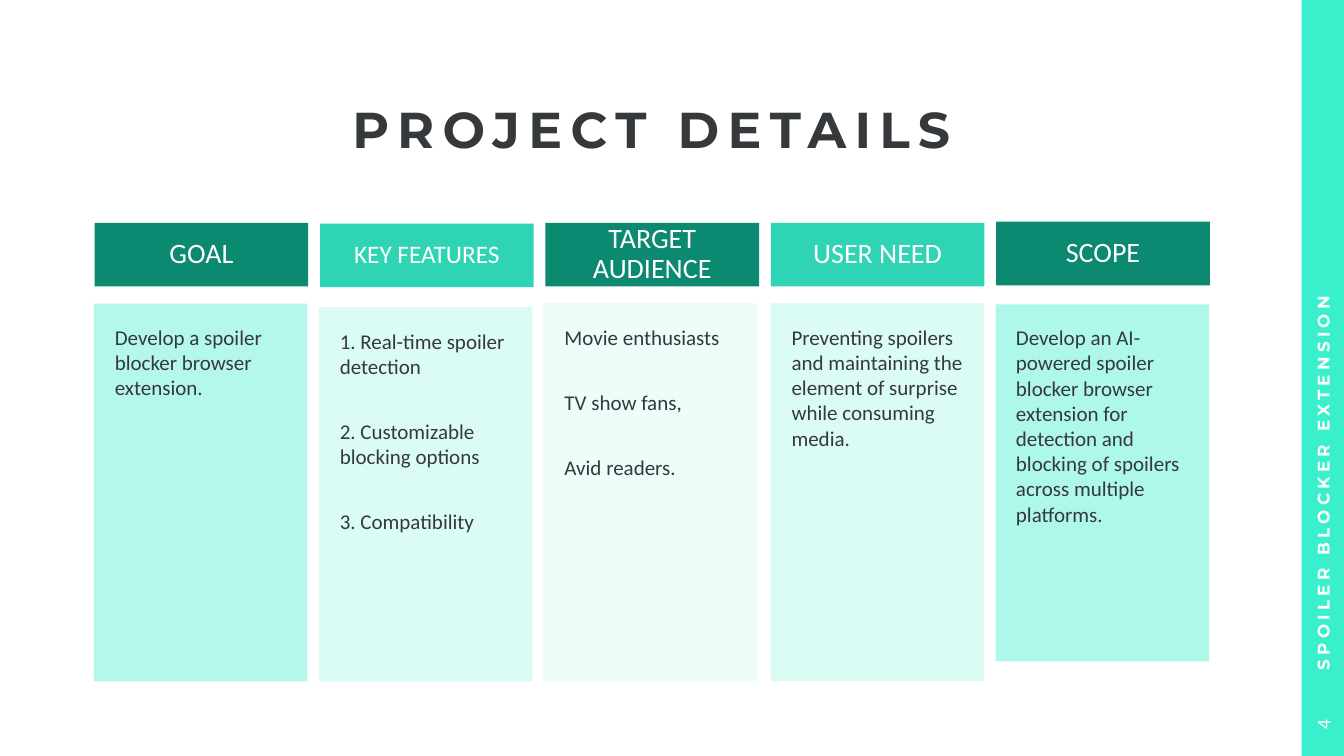
import pptx
import pptx.dml.color
import pptx.enum.shapes
import pptx.enum.text
import pptx.oxml
import pptx.oxml.ns
import pptx.util

Pt = pptx.util.Pt
ALIGN = pptx.enum.text.PP_ALIGN
ANCHOR = pptx.enum.text.MSO_ANCHOR
COLORS = {
    "bar": "3AEFCC",
    "dark": "0B8971",
    "bright": "11CEA9",
    "mint": "89F5E0",
    "pale": "B0F9EB",
    "faint": "D8FCF5",
    "ink": "36393B",
    "white": "FFFFFF",
}


class SlideBuilder:
    """Holds the style and the current slide."""

    def __init__(self, slide, body_font, display_font):
        self.slide = slide
        self.body_font = body_font
        self.display_font = display_font

    def color(self, name):
        return pptx.dml.color.RGBColor.from_string(COLORS[name])

    def panel(self, left, top, width, height, color, opacity=100):
        panel = self.slide.shapes.add_shape(
            pptx.enum.shapes.MSO_SHAPE.RECTANGLE,
            Pt(left), Pt(top), Pt(width), Pt(height))
        panel.shadow.inherit = False
        panel.line.fill.background()
        panel.fill.solid()
        panel.fill.fore_color.rgb = self.color(color)
        if opacity < 100:
            tint = panel.fill._xPr.find(".//" + pptx.oxml.ns.qn("a:srgbClr"))
            alpha = pptx.oxml.parse_xml(
                f'<a:alpha {pptx.oxml.ns.nsdecls("a")} val="{opacity * 1000}"/>')
            tint.append(alpha)
        return panel

    def label(self, left, top, width, height, text, rotation=0, **style):
        label = self.slide.shapes.add_textbox(
            Pt(left), Pt(top), Pt(width), Pt(height))
        label.rotation = rotation
        self.set_text(label, [text], **style)

    def set_text(self, shape, paragraphs, size, color, insets, font=None,
                 bold=False, tracking=0, align=ALIGN.LEFT, anchor=ANCHOR.MIDDLE,
                 line_spacing=1.0, gap=0):
        frame = shape.text_frame
        left, top, right, bottom = map(Pt, insets)
        frame_format = {
            "word_wrap": True, "vertical_anchor": anchor,
            "margin_left": left, "margin_top": top,
            "margin_right": right, "margin_bottom": bottom,
        }
        font_format = {
            "name": font or self.body_font, "size": Pt(size), "bold": bold}
        for key, value in frame_format.items():
            setattr(frame, key, value)
        for index, text in enumerate(paragraphs):
            paragraph = frame.paragraphs[0] if index == 0 else frame.add_paragraph()
            paragraph.alignment = align
            paragraph.line_spacing = line_spacing
            if index:
                paragraph.space_before = Pt(gap)
            run = paragraph.add_run()
            run.text = text
            for key, value in font_format.items():
                setattr(run.font, key, value)
            run.font.color.rgb = self.color(color)
            if tracking:
                run._r.get_or_add_rPr().set("spc", str(tracking * 100))

    def heading(self, left, top, text, size, color, opacity):
        heading = self.panel(left, top, COLUMN_WIDTH, HEADING_HEIGHT, color, opacity)
        self.set_text(heading, [text], size, "white", [12] * 4,
                      align=ALIGN.CENTER, line_spacing=0.9)

    def details(self, left, top, height, paragraphs, color, opacity, inset):
        details = self.panel(left, top, COLUMN_WIDTH, height, color, opacity)
        self.set_text(details, paragraphs, 15, "ink", [inset] * 4,
                      anchor=ANCHOR.TOP, gap=28.4)


COLUMN_LEFT, COLUMN_PITCH, COLUMN_WIDTH = 67.6, 161, 152.6
HEADING_HEIGHT = 45.4
HEADING_FILLS = [("dark", 100), ("bright", 87)]

# Heading, its size and top; details, their left shift, top, height, fill, inset
COLUMNS = [
    (("GOAL", 20, 159.2),
     (["Develop a spoiler blocker browser extension."],
      -0.6, 216.8, 270, "mint", 64, 15)),
    (("KEY FEATURES", 18, 159.8),
     (["1. Real-time spoiler detection", "2. Customizable blocking options",
       "3. Compatibility"],
      -0.9, 219.4, 267.4, "pale", 45, 15)),
    (("TARGET AUDIENCE", 20, 159.2),
     (["Movie enthusiasts", "TV show fans,", "Avid readers."],
      -1.4, 216.6, 270, "faint", 44, 15)),
    (("USER NEED", 20, 159.2),
     (["Preventing spoilers and maintaining the element of surprise while "
       "consuming media."],
      -0.2, 216.6, 270, "pale", 45, 15)),
    (("SCOPE", 20, 158.4),
     (["Develop an AI-powered spoiler blocker browser extension for detection "
       "and blocking of spoilers across multiple platforms."],
      -0.5, 217.4, 255, "mint", 68, 14.6)),
]


def main():
    deck = pptx.Presentation()
    deck.slide_width, deck.slide_height = Pt(960), Pt(540)
    builder = SlideBuilder(
        deck.slides.add_slide(deck.slide_layouts[6]), "Calibri", "Montserrat")

    # Side bar
    builder.panel(929.8, 0, 30.2, 540, "bar")

    # Five columns
    for index, (heading, details) in enumerate(COLUMNS):
        left = COLUMN_LEFT + index * COLUMN_PITCH
        title, size, top = heading
        paragraphs, shift, details_top, height, color, opacity, inset = details
        builder.heading(left, top, title, size, *HEADING_FILLS[index % 2])
        builder.details(left + shift, details_top, height, paragraphs,
                        color, opacity, inset)

    # Title
    builder.label(67, 69, 797, 51, "PROJECT DETAILS", size=36, color="ink",
                  insets=[0] * 4, font=builder.display_font, bold=True,
                  tracking=6, align=ALIGN.CENTER, line_spacing=0.9)

    # Side bar texts
    builder.label(697.2, 232.6, 495.4, 30.2, "SPOILER BLOCKER EXTENSION",
                  rotation=270, size=12, color="white",
                  insets=[16.6, 3.6, 7.2, 3.6], font=builder.display_font,
                  bold=True, tracking=3)
    builder.label(922.4, 502.4, 45, 30.2, "4", rotation=270, size=14,
                  color="white", insets=[7.2, 3.6, 7.2, 3.6],
                  align=ALIGN.CENTER)

    deck.save("out.pptx")


if __name__ == "__main__":
    main()
